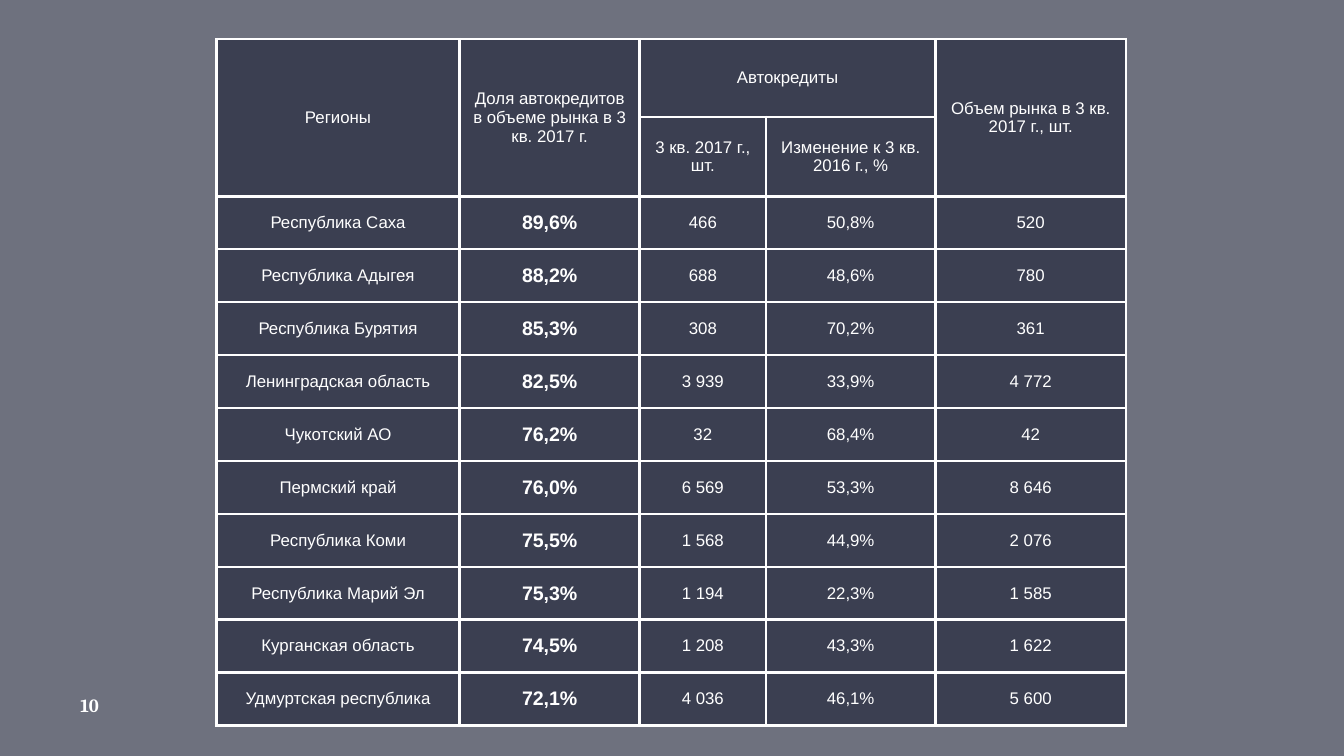
from lxml import etree
from pptx import Presentation
from pptx.dml.color import RGBColor
from pptx.enum.shapes import MSO_SHAPE as Shape
from pptx.enum.text import MSO_ANCHOR as Anchor, PP_ALIGN as Align
from pptx.oxml import parse_xml
from pptx.oxml.ns import nsdecls, qn
from pptx.util import Inches, Pt

NAVY, WHITE = "212539", "FFFFFF"


def paint(fill, color, opacity=None):
    """Solid fill, optionally with an opacity in percent."""
    fill.solid()
    fill.fore_color.rgb = RGBColor.from_string(color)
    if opacity:
        tint = fill._xPr.find(qn("a:solidFill"))[0]
        etree.SubElement(tint, qn("a:alpha"), val=str(opacity * 1000))


def write(frame, text, size, font, bold):
    span = frame.paragraphs[0].add_run()
    span.text = text
    span.font.size = Pt(size)
    span.font.name = font
    span.font.bold = bold
    paint(span.font.fill, WHITE)


# Widescreen 16:9 page
deck = Presentation()
deck.slide_width = Inches(10)
deck.slide_height = deck.slide_width * 9 // 16
page = deck.slides.add_slide(deck.slide_layouts[6])

# Translucent backdrop over the white page
backdrop = page.shapes.add_shape(Shape.RECTANGLE, 0, 0, deck.slide_width, deck.slide_height)
backdrop.shadow.inherit = False
backdrop.line.fill.background()
paint(backdrop.fill, NAVY, 65)

# Page number
box = page.shapes.add_textbox(Inches(0.5), Inches(5.11), Inches(0.6), Inches(0.27))
frame = box.text_frame
frame.word_wrap = True
frame.vertical_anchor = Anchor.MIDDLE
frame.margin_left = frame.margin_right = Inches(0.1)
frame.margin_top = frame.margin_bottom = Inches(0.1)
write(frame, "10", 10, "Cambria", True)

# Table content; empty strings are covered by merged header cells
header = [
    ("Регионы", "Доля автокредитов в объеме рынка в 3 кв. 2017 г.", "Автокредиты", "",
     "Объем рынка в 3 кв. 2017 г., шт."),
    ("", "", "3 кв. 2017 г., шт.", "Изменение к 3 кв. 2016 г., %", ""),
]
regions = [
    ("Республика Саха", "89,6%", "466", "50,8%", "520"),
    ("Республика Адыгея", "88,2%", "688", "48,6%", "780"),
    ("Республика Бурятия", "85,3%", "308", "70,2%", "361"),
    ("Ленинградская область", "82,5%", "3 939", "33,9%", "4 772"),
    ("Чукотский АО", "76,2%", "32", "68,4%", "42"),
    ("Пермский край", "76,0%", "6 569", "53,3%", "8 646"),
    ("Республика Коми", "75,5%", "1 568", "44,9%", "2 076"),
    ("Республика Марий Эл", "75,3%", "1 194", "22,3%", "1 585"),
    ("Курганская область", "74,5%", "1 208", "43,3%", "1 622"),
    ("Удмуртская республика", "72,1%", "4 036", "46,1%", "5 600"),
]
rows = header + regions
widths = [1.81, 1.34, 0.94, 1.26, 1.42]
region_height = Inches(3.94) // len(regions)
heights = [Inches(0.58), Inches(0.33)] + [region_height] * len(regions)
share_column = 1

# Table grid
holder = page.shapes.add_table(
    len(rows), len(widths), Inches(1.61), Inches(0.29), Inches(sum(widths)), sum(heights))
table = holder.table
table.first_row = table.horz_banding = False
for column, width in zip(table.columns, widths):
    column.width = Inches(width)
for row, height in zip(table.rows, heights):
    row.height = height
holder.height = Inches(4.97)

# Merged header cells
for column in (0, 1, 4):
    table.cell(0, column).merge(table.cell(1, column))
table.cell(0, 2).merge(table.cell(0, 3))

# Cell text, fill and borders
for r, values in enumerate(rows):
    for c, text in enumerate(values):
        cell = table.cell(r, c)
        cell.vertical_anchor = Anchor.MIDDLE
        cell.margin_left = cell.margin_right = Inches(0.1)
        cell.margin_top = cell.margin_bottom = Inches(0.07)
        paint(cell.fill, NAVY, 65)
        properties = cell._tc.get_or_add_tcPr()
        for position, side in enumerate("LRTB"):
            properties.insert(position, parse_xml(
                f'<a:ln{side} {nsdecls("a")} w="{Pt(1.5)}"><a:solidFill>'
                f'<a:srgbClr val="{WHITE}"/></a:solidFill></a:ln{side}>'))
        if text:
            is_share = c == share_column and r >= len(header)
            cell.text_frame.paragraphs[0].alignment = Align.CENTER
            write(cell.text_frame, text, 10.5 if is_share else 9, "Arial", is_share)

deck.save("out.pptx")
